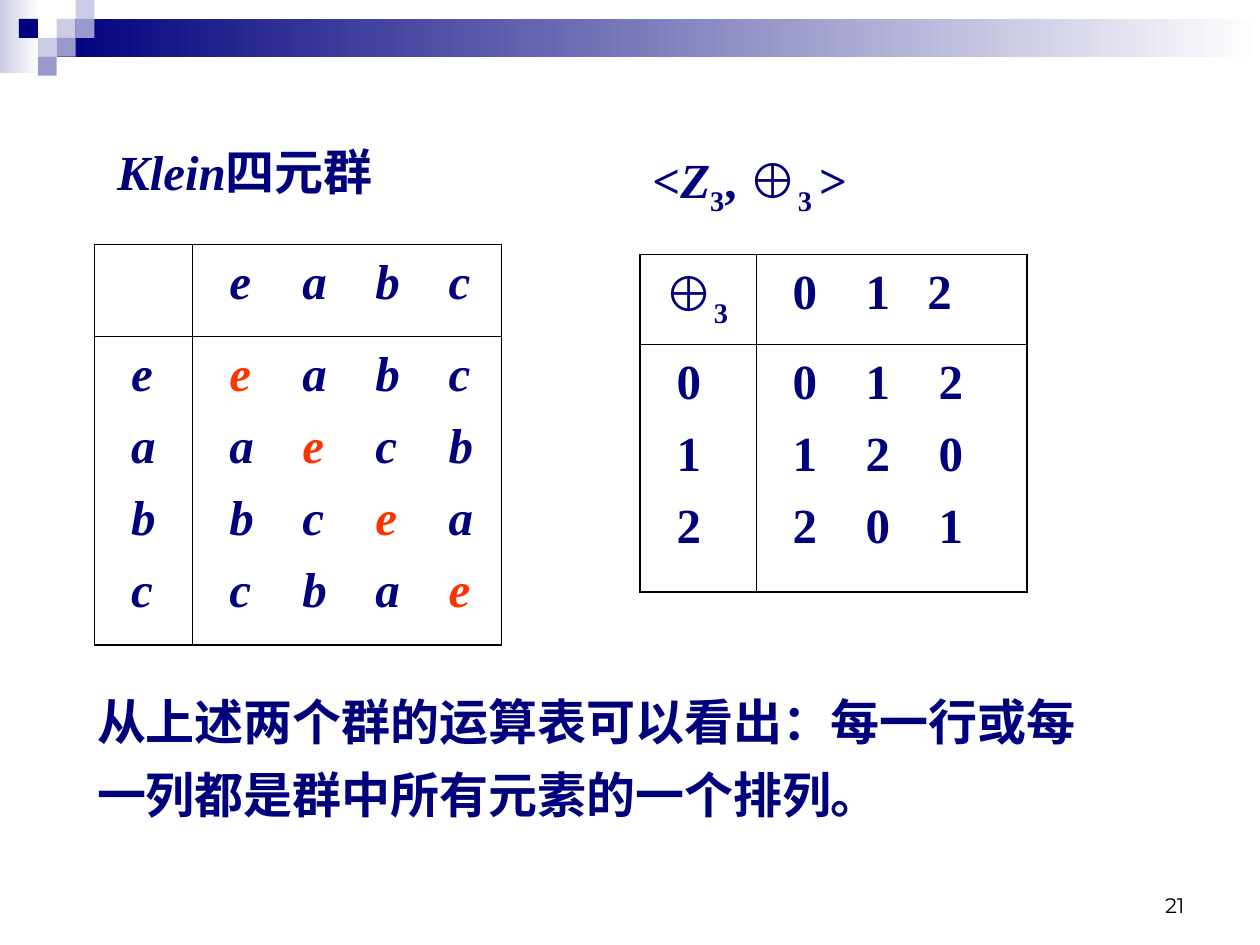
import pptx
import pptx.dml.color
import pptx.enum.shapes
import pptx.enum.text
import pptx.oxml.ns
import pptx.util
from lxml import etree
from pptx.util import Inches

COLORS = {"navy": "00007D", "violet": "9999CC", "lilac": "CCCCE6",
          "white": "FFFFFF", "red": "FF3300", "black": "000000"}
SERIF = "Times New Roman"
ITALIC = {"italic": True}
SUBSCRIPT = {"subscript": True}
SYMBOL = {"font": "Arial"}
FIRST_TAB, TAB_STEP = 0.19, 0.58


def rgb(name):
    return pptx.dml.color.RGBColor.from_string(COLORS[name])


def add_element(parent, tag, **attributes):
    return etree.SubElement(parent, pptx.oxml.ns.qn(tag), attributes)


def add_block(slide, left, top, width, height, *colors):
    """Draw a rectangle; two colours give a gradient from left to right."""
    shape = slide.shapes.add_shape(
        pptx.enum.shapes.MSO_SHAPE.RECTANGLE,
        Inches(left), Inches(top), Inches(width), Inches(height))
    shape.shadow.inherit = False
    shape.line.fill.background()
    if len(colors) == 1:
        shape.fill.solid()
        shape.fill.fore_color.rgb = rgb(colors[0])
    else:
        shape.fill.gradient()
        shape.fill.gradient_angle = 0
        for stop, position, color in zip(shape.fill.gradient_stops, (0, 1), colors):
            stop.position = position
            stop.color.rgb = rgb(color)


def add_runs(paragraph, pieces, size=28, bold=True):
    """Add (text, options) pieces as formatted runs."""
    for text, options in pieces:
        run = paragraph.add_run()
        run.text = text
        run.font.size = pptx.util.Pt(size)
        run.font.bold = bold
        run.font.italic = options.get("italic", False)
        run.font.name = options.get("font", SERIF)
        run.font.color.rgb = rgb(options.get("color", "navy"))
        if options.get("subscript"):
            run.font._element.set("baseline", "-25000")


def place_text(shape, left, top, width, height, pieces, **formatting):
    """Position a placeholder or text box and fill it with one paragraph."""
    shape.left, shape.top = Inches(left), Inches(top)
    shape.width, shape.height = Inches(width), Inches(height)
    frame = shape.text_frame
    frame.word_wrap = True
    frame.auto_size = pptx.enum.text.MSO_AUTO_SIZE.NONE
    frame.vertical_anchor = pptx.enum.text.MSO_ANCHOR.TOP
    paragraph = frame.paragraphs[0]
    paragraph.alignment = pptx.enum.text.PP_ALIGN.LEFT
    paragraph.space_before = pptx.util.Pt(0)
    add_runs(paragraph, pieces, **formatting)
    return paragraph


def remove_bullet(paragraph):
    properties = paragraph._p.get_or_add_pPr()
    properties.set("marL", "0")
    properties.set("indent", "0")
    add_element(properties, "a:buNone")


def set_borders(cell, row, column):
    """Thick lines outside, thin lines between the cells of a 2 x 2 table."""
    thick = {"a:lnL": column == 0, "a:lnR": column == 1,
             "a:lnT": row == 0, "a:lnB": row == 1}
    properties = cell._tc.get_or_add_tcPr()
    for tag, is_outside in thick.items():
        points = 1.08 if is_outside else 0.45
        line = add_element(properties, tag, w=str(pptx.util.Pt(points)))
        fill = add_element(line, "a:solidFill")
        add_element(fill, "a:srgbClr", val=COLORS["black"])
    cell.fill.background()


def tabbed(items, style, highlight=None):
    """Put a tab before every item and colour the highlighted one."""
    return [("\t" + item, {**style, "color": "red" if item == highlight else "navy"})
            for item in items]


def fill_cell(cell, lines, tabs):
    frame = cell.text_frame
    for index, pieces in enumerate(lines):
        paragraph = frame.add_paragraph() if index else frame.paragraphs[0]
        tab_list = add_element(paragraph._p.get_or_add_pPr(), "a:tabLst")
        for tab in tabs:
            add_element(tab_list, "a:tab", pos=str(Inches(tab)), algn="l")
        paragraph.line_spacing = 1.1
        paragraph.space_before = pptx.util.Pt(7 if index else 0)
        add_runs(paragraph, pieces)


def add_operation_table(slide, left, top, widths, heights, corner, elements,
                        rows, style, highlight=None, header_tabs=None):
    table = slide.shapes.add_table(
        2, 2, Inches(left), Inches(top),
        Inches(sum(widths)), Inches(sum(heights))).table
    table.first_row = table.horz_banding = False
    for index in range(2):
        table.columns[index].width = Inches(widths[index])
        table.rows[index].height = Inches(heights[index])
    tabs = [FIRST_TAB + TAB_STEP * index for index in range(len(elements))]
    contents = [
        [[corner], [tabbed(elements, style)]],
        [[tabbed(element, style) for element in elements],
         [tabbed(row, style, highlight) for row in rows]],
    ]
    for row in range(2):
        for column in range(2):
            cell = table.cell(row, column)
            set_borders(cell, row, column)
            is_header = (row, column) == (0, 1)
            fill_cell(cell, contents[row][column],
                      header_tabs if is_header and header_tabs else tabs)


def add_decoration(slide):
    # Gradient bands
    add_block(slide, 0, 0, 0.31, 0.58, "lilac", "white")
    add_block(slide, 0.45, 0.15, 9.55, 0.3, "navy", "white")
    # Mosaic squares: column, row, colour
    side = 0.15
    for column, row, color in [(3, 1, "lilac"), (4, 0, "lilac"), (4, 1, "violet"),
                               (2, 2, "lilac"), (1, 1, "navy"), (3, 2, "violet"),
                               (2, 3, "violet")]:
        add_block(slide, column * side, row * side, side, side, color)


def main():
    presentation = pptx.Presentation()
    presentation.slide_width, presentation.slide_height = Inches(10), Inches(7.5)
    slide = presentation.slides.add_slide(presentation.slide_layouts[1])
    add_decoration(slide)

    # Klein group
    place_text(slide.shapes.title, 0.83, 1.07, 3.78, 0.57,
               [("Klein", ITALIC), ("四元群", {})])
    add_operation_table(slide, 0.75, 1.94, (0.78, 2.45), (0.73, 2.45), [],
                        "eabc", ("eabc", "aecb", "bcea", "cbae"),
                        ITALIC, highlight="e")

    # Group of integers modulo 3
    place_text(slide.shapes.add_textbox(0, 0, 0, 0), 5.08, 1.14, 2.36, 0.63,
               [("<", {}), ("Z", ITALIC), ("3", SUBSCRIPT), (", ", {}),
                ("⊕", SYMBOL), ("3 ", SUBSCRIPT), (">", {})])
    add_operation_table(slide, 5.08, 2.02, (0.92, 2.15), (0.71, 1.97),
                        [(" ", {}), ("⊕", SYMBOL), ("3", SUBSCRIPT)],
                        "012", ("012", "120", "201"), {},
                        header_tabs=(0.19, 0.77, 1.26))

    # Conclusion
    conclusion = place_text(
        slide.placeholders[1], 0.67, 5.32, 8.11, 1.27,
        [("从上述两个群的运算表可以看出：每一行或每一列都是群中所有元素的一个排列。", {})])
    remove_bullet(conclusion)
    conclusion.line_spacing = 1.25

    # Slide number
    number_box = slide.shapes.add_textbox(0, 0, 0, 0)
    number = place_text(number_box, 7.17, 6.83, 2.33, 0.5,
                        [("21", {"font": "Montserrat", "color": "black"})],
                        size=12, bold=False)
    number.alignment = pptx.enum.text.PP_ALIGN.RIGHT
    number_box.text_frame.vertical_anchor = pptx.enum.text.MSO_ANCHOR.BOTTOM

    presentation.save("out.pptx")


if __name__ == "__main__":
    main()
